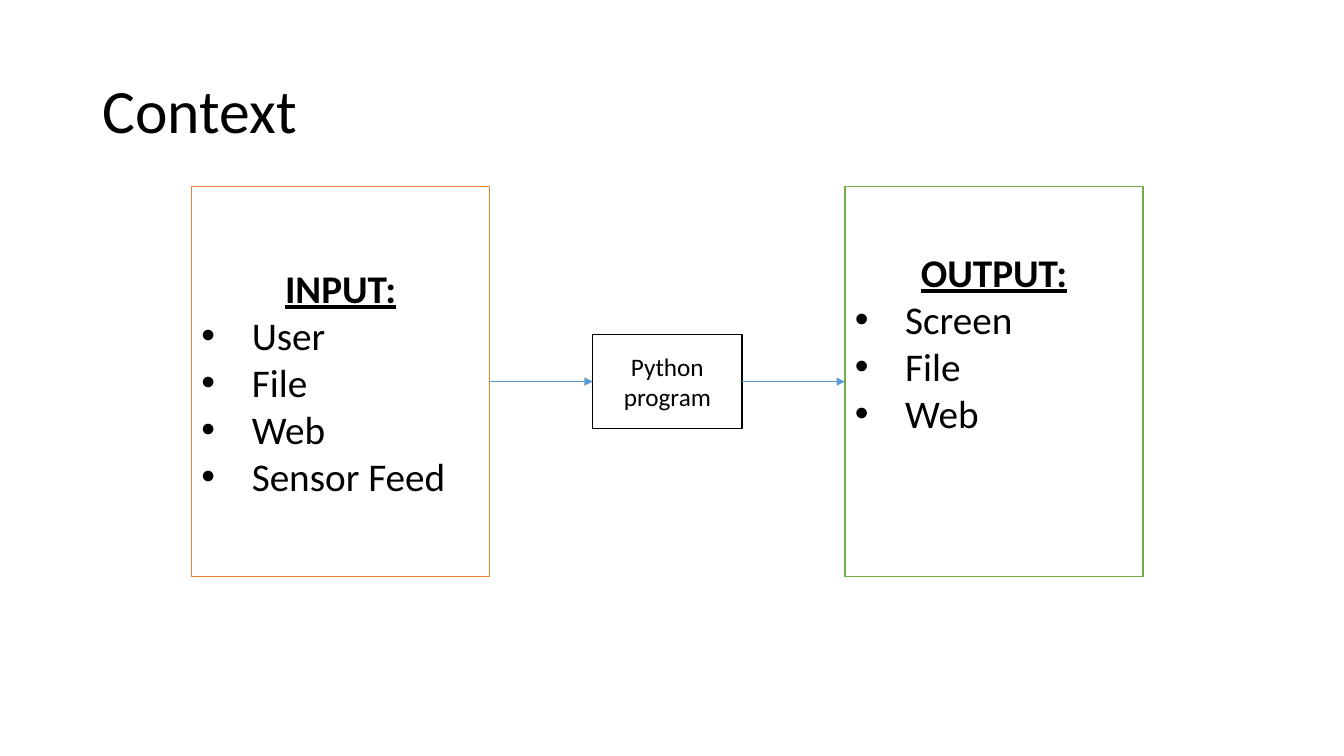
from lxml import etree
from pptx import Presentation
from pptx.dml.color import RGBColor
from pptx.enum.shapes import MSO_CONNECTOR, MSO_SHAPE
from pptx.enum.text import MSO_ANCHOR, PP_ALIGN
from pptx.oxml.ns import qn
from pptx.util import Pt

FONT = "Calibri"
BLACK, WHITE = "000000", "FFFFFF"
ORANGE, GREEN, BLUE = "ED7D31", "70AD47", "5B9BD5"
MIDDLE_Y = 272.6
GAP = 73.5
PANEL_WIDTH, PANEL_HEIGHT = 213.1, 278.6
PROGRAM_WIDTH, PROGRAM_HEIGHT = 106.6, 67


def color(hex_code):
    """Turn a hex string into a colour."""
    return RGBColor.from_string(hex_code)


def style_runs(paragraph, size, bold=False, underline=False):
    """Format every run of a paragraph."""
    for run in paragraph.runs:
        run.font.name = FONT
        run.font.size = Pt(size)
        run.font.bold = bold
        run.font.underline = underline
        run.font.color.rgb = color(BLACK)


def add_bullet(paragraph):
    """Give a paragraph a round bullet with a hanging indent."""
    properties = paragraph._p.get_or_add_pPr()
    properties.set("marL", str(Pt(36)))
    properties.set("indent", str(-Pt(36)))
    etree.SubElement(properties, qn("a:buFont"), typeface="Arial")
    etree.SubElement(properties, qn("a:buChar"), char="•")


def add_title(slide, text):
    """Add the slide title."""
    title = slide.shapes.add_textbox(Pt(66), Pt(28.8), Pt(828), Pt(104.4))
    frame = title.text_frame
    frame.word_wrap = True
    frame.vertical_anchor = MSO_ANCHOR.MIDDLE
    frame.text = text
    frame.paragraphs[0].line_spacing = 0.9
    style_runs(frame.paragraphs[0], 44)


def add_box(slide, left, width, height, outline):
    """Add a white box centred on the flow line and return it."""
    box = slide.shapes.add_shape(MSO_SHAPE.RECTANGLE, Pt(left),
                                 Pt(MIDDLE_Y - height / 2), Pt(width), Pt(height))
    box.shadow.inherit = False
    box.fill.solid()
    box.fill.fore_color.rgb = color(WHITE)
    box.line.color.rgb = color(outline)
    box.line.width = Pt(1)
    box.text_frame.word_wrap = True
    box.text_frame.vertical_anchor = MSO_ANCHOR.MIDDLE
    return box


def add_panel(slide, left, outline, heading, items, bottom_inset=3.6):
    """Add a box with an underlined heading above a bulleted list."""
    panel = add_box(slide, left, PANEL_WIDTH, PANEL_HEIGHT, outline)
    frame = panel.text_frame
    frame.margin_bottom = Pt(bottom_inset)
    frame.text = "\n".join([heading, *items])
    first, *bullets = frame.paragraphs
    first.alignment = PP_ALIGN.CENTER
    style_runs(first, 28, bold=True, underline=True)
    for bullet in bullets:
        bullet.alignment = PP_ALIGN.LEFT
        add_bullet(bullet)
        style_runs(bullet, 28)
    return panel


def add_program(slide, left, text):
    """Add the small box for the program."""
    program = add_box(slide, left, PROGRAM_WIDTH, PROGRAM_HEIGHT, BLACK)
    program.text_frame.text = text
    label = program.text_frame.paragraphs[0]
    label.alignment = PP_ALIGN.CENTER
    style_runs(label, 18)
    return program


def add_arrow(slide, source, target):
    """Connect the right side of one box to the left side of the next."""
    arrow = slide.shapes.add_connector(MSO_CONNECTOR.STRAIGHT, 0, 0, 0, 0)
    arrow.begin_connect(source, 3)
    arrow.end_connect(target, 1)
    arrow.line.color.rgb = color(BLUE)
    arrow.line.width = Pt(0.5)
    etree.SubElement(arrow.line._get_or_add_ln(), qn("a:tailEnd"), type="triangle")
    etree.SubElement(arrow._element.spPr, qn("a:effectLst"))


def main():
    """Build the slide and save it."""
    deck = Presentation()
    deck.slide_width, deck.slide_height = Pt(960), Pt(540)
    slide = deck.slides.add_slide(deck.slide_layouts[6])
    add_title(slide, "Context")

    input_left = 136.8
    program_left = input_left + PANEL_WIDTH + GAP
    output_left = program_left + PROGRAM_WIDTH + GAP
    source = add_panel(slide, input_left, ORANGE, "INPUT:",
                       ["User", "File", "Web", "Sensor Feed"])
    result = add_panel(slide, output_left, GREEN, "OUTPUT:",
                       ["Screen", "File", "Web"], bottom_inset=59.6)
    program = add_program(slide, program_left, "Python program")
    add_arrow(slide, source, program)
    add_arrow(slide, program, result)
    deck.save("out.pptx")


main()
